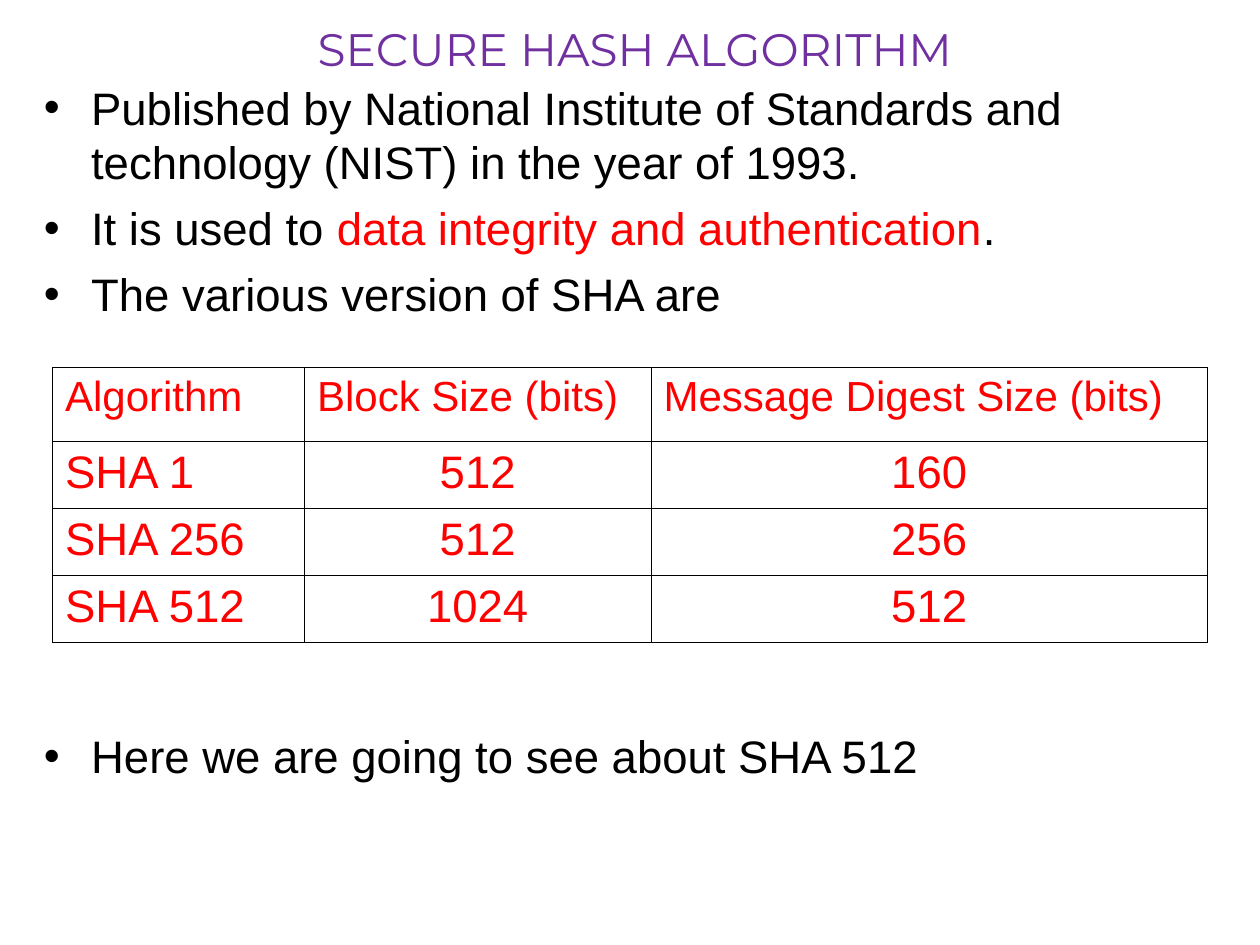
"""Build the Secure Hash Algorithm slide."""
from dataclasses import dataclass

from lxml import etree
from pptx import Presentation
from pptx.dml.color import RGBColor
from pptx.enum import text as t
from pptx.oxml import ns
from pptx.util import Pt


@dataclass(frozen=True)
class Theme:
    ink: str = "000000"
    red: str = "FF0000"
    violet: str = "7030A0"
    body: str = "Arial"
    head: str = "Montserrat"
    big: float = 26
    small: float = 24
    rule: float = 0.45
    hang: float = 27


def write(para, words, size, color, font, align=t.PP_ALIGN.LEFT):
    para.alignment = align
    run = para.add_run()
    run.text = words
    run.font.size = Pt(size)
    run.font.name = font
    run.font.color.rgb = RGBColor.from_string(color)


def child(node, tag, **attrs):
    return etree.SubElement(node, ns.qn(tag), **attrs)


class Deck:
    def __init__(self, theme):
        self.theme = theme
        self.file = Presentation()
        self.file.slide_width, self.file.slide_height = Pt(720), Pt(540)
        self.slide = self.file.slides.add_slide(self.file.slide_layouts[6])

    def box(self, left, top, width, height, anchor=t.MSO_ANCHOR.TOP):
        frame = self.slide.shapes.add_textbox(*map(Pt, (left, top, width, height))).text_frame
        frame.word_wrap = True
        frame.vertical_anchor = anchor
        return frame

    def title(self, words, *area):
        th = self.theme
        para = self.box(*area, anchor=t.MSO_ANCHOR.MIDDLE).paragraphs[0]
        write(para, words, th.big, th.violet, th.head, t.PP_ALIGN.CENTER)

    def bullets(self, items, *area):
        th = self.theme
        frame = self.box(*area)
        for i, (gap, runs) in enumerate(items):
            para = frame.add_paragraph() if i else frame.paragraphs[0]
            para.space_before = Pt(gap)
            props = para._p.get_or_add_pPr()
            props.set("marL", str(Pt(th.hang)))
            props.set("indent", str(-Pt(th.hang)))
            child(child(props, "a:buClr"), "a:srgbClr", val=th.ink)
            child(props, "a:buFont", typeface=th.body)
            child(props, "a:buChar", char="•")
            for words, color in runs:
                write(para, words, th.big, color, th.body)

    def border(self, cell):
        props = cell._tc.get_or_add_tcPr()
        for i, side in enumerate("LRTB"):
            line = etree.Element(ns.qn(f"a:ln{side}"), w=str(Pt(self.theme.rule)))
            child(child(line, "a:solidFill"), "a:srgbClr", val=self.theme.ink)
            props.insert(i, line)

    def table(self, rows, left, top, widths, heights):
        th = self.theme
        area = map(Pt, (left, top, sum(widths), sum(heights)))
        grid = self.slide.shapes.add_table(len(rows), len(widths), *area).table
        for col, width in zip(grid.columns, widths):
            col.width = Pt(width)
        for r, (row, height) in enumerate(zip(rows, heights)):
            grid.rows[r].height = Pt(height)
            for c, words in enumerate(row):
                cell = grid.cell(r, c)
                cell.fill.background()
                self.border(cell)
                align = t.PP_ALIGN.CENTER if r and c else t.PP_ALIGN.LEFT
                write(cell.text_frame.paragraphs[0], words,
                      th.big if r else th.small, th.red, th.body, align)


def main():
    th = Theme()
    deck = Deck(th)
    deck.title("SECURE HASH ALGORITHM", 18, -5, 690, 65)
    deck.bullets([
        (0, [("Published by National Institute of Standards and technology (NIST) "
              "in the year of 1993.", th.ink)]),
        (6.5, [("It is used to ", th.ink),
               ("data integrity and authentication", th.red), (".", th.ink)]),
        (6.5, [("The various version of SHA are", th.ink)]),
        (233, [("Here we are going to see about SHA 512", th.ink)]),
    ], 18, 42, 684, 462)
    deck.table([
        ("Algorithm", "Block Size (bits)", "Message Digest Size (bits)"),
        ("SHA 1", "512", "160"),
        ("SHA 256", "512", "256"),
        ("SHA 512", "1024", "512"),
    ], 30, 210, (144, 198, 318), (42, 38.3, 38.3, 38.3))
    deck.file.save("out.pptx")


if __name__ == "__main__":
    main()
